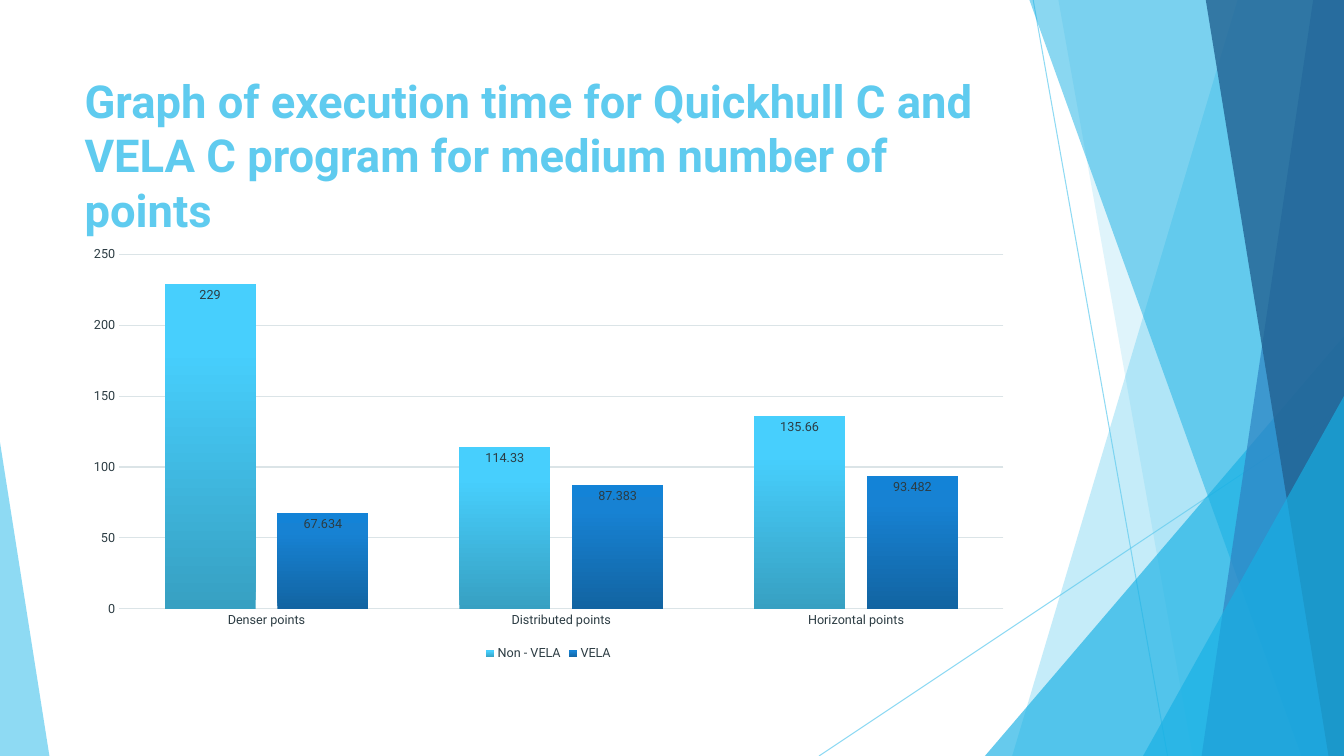
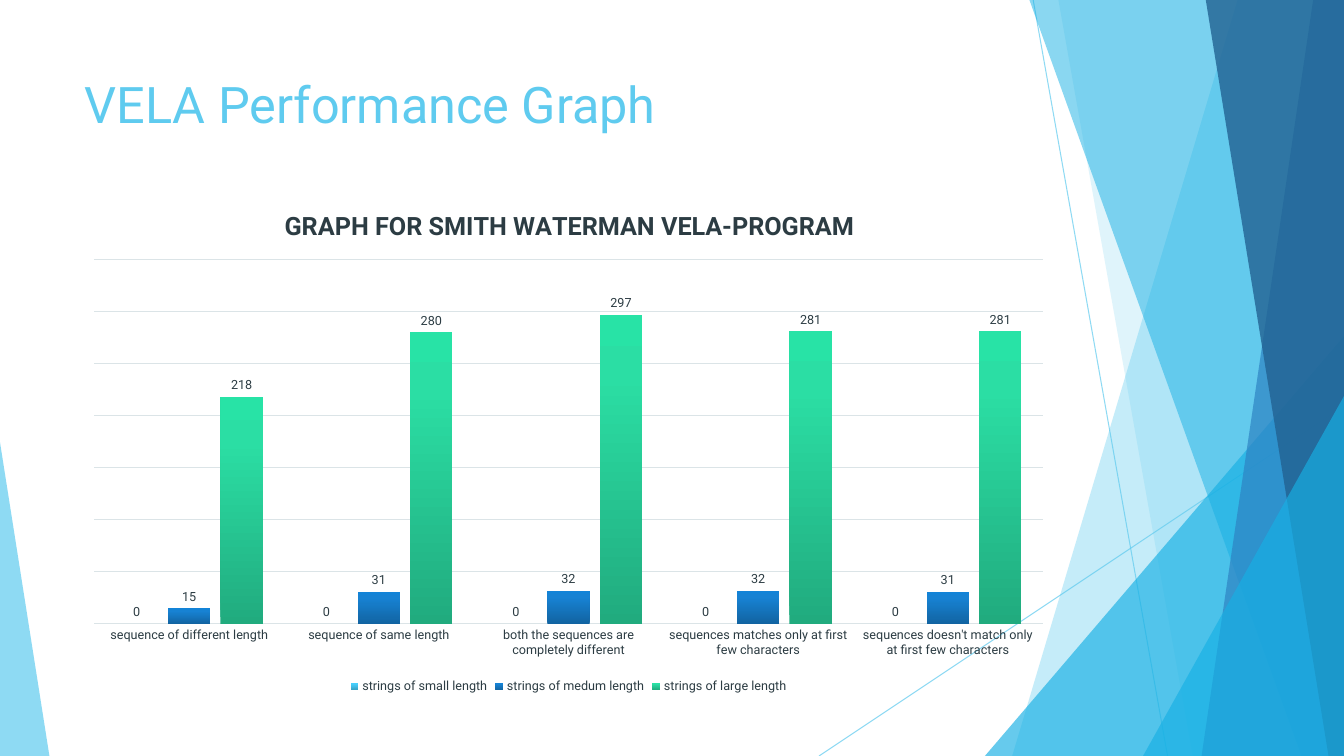
from lxml import etree
from pptx import Presentation
from pptx.chart.data import CategoryChartData
from pptx.dml.color import RGBColor
from pptx.enum.chart import (XL_CHART_TYPE, XL_LABEL_POSITION, XL_LEGEND_POSITION,
                             XL_TICK_LABEL_POSITION, XL_TICK_MARK)
from pptx.enum.shapes import MSO_CONNECTOR, MSO_SHAPE
from pptx.enum.text import MSO_ANCHOR
from pptx.oxml.ns import qn
from pptx.util import Pt

COLUMNS = XL_CHART_TYPE.COLUMN_CLUSTERED
INSIDE_END = XL_LABEL_POSITION.INSIDE_END
OUTSIDE_END = XL_LABEL_POSITION.OUTSIDE_END
LEGEND_BOTTOM = XL_LEGEND_POSITION.BOTTOM
NO_LABELS = XL_TICK_LABEL_POSITION.NONE
NO_TICKS = XL_TICK_MARK.NONE
STRAIGHT = MSO_CONNECTOR.STRAIGHT
TRIANGLE = MSO_SHAPE.ISOSCELES_TRIANGLE
TOP = MSO_ANCHOR.TOP

FONT = "Roboto"
WIDTH, HEIGHT = 960, 540
LEFT = 53.3
COLORS = {"sky": "5FCBEF", "cyan": "17B0E4", "blue": "2E83C3", "navy": "226292",
          "text": "2C3C43", "grid": "DBE4E7"}
# Column gradients from bottom to top, one per series
STOPS = (0, 80, 100)
GRADIENTS = (("37A0C2", "47CFFD", "46D1FF"),
             ("1264A2", "1782D3", "1383D7"),
             ("21AB7E", "2BDEA4", "28E3A6"))


def rgb(name):
    return RGBColor.from_string(COLORS[name])


def style_font(font, size, color="text", bold=False):
    font.name, font.size, font.bold = FONT, Pt(size), bold
    font.color.rgb = rgb(color)


def write_text(frame, text, **style):
    span = frame.paragraphs[0].add_run()
    span.text = text
    style_font(span.font, **style)


def set_alpha(shape, percent):
    color = shape.element.spPr.find(".//" + qn("a:srgbClr"))
    etree.SubElement(color, qn("a:alpha"), val=str(percent * 1000))


def fill_gradient(gradient, colors):
    """Replace the default gradient with upward stops."""
    for child in list(gradient):
        gradient.remove(child)
    stops = etree.SubElement(gradient, qn("a:gsLst"))
    for position, color in zip(STOPS, colors):
        stop = etree.SubElement(stops, qn("a:gs"), pos=str(position * 1000))
        etree.SubElement(stop, qn("a:srgbClr"), val=color)
    etree.SubElement(gradient, qn("a:lin"), ang=str(270 * 60000), scaled="0")


def place(chart, part, settings, **percents):
    """Give a chart part a manual layout, in percent of the chart."""
    parent = next(chart.element.iter(qn(part)))
    layout = parent.find(qn("c:layout"))
    if layout is None:
        layout = etree.Element(qn("c:layout"))
        parent.insert(0, layout)
    manual = etree.SubElement(layout, qn("c:manualLayout"))
    for tag, value in settings.items():
        etree.SubElement(manual, qn("c:" + tag), val=value)
    for tag, value in percents.items():
        etree.SubElement(manual, qn("c:" + tag), val=str(value / 100))


class Slides:
    def __init__(self):
        self.deck = Presentation()
        self.deck.slide_width, self.deck.slide_height = Pt(WIDTH), Pt(HEIGHT)
        self.page = None

    def line(self, *ends):
        line = self.page.shapes.add_connector(STRAIGHT, *map(Pt, ends))
        line.line.color.rgb = rgb("sky")
        line.line.width = Pt(0.75)
        set_alpha(line, 70)
        etree.SubElement(line.element.spPr, qn("a:effectLst"))

    def paint(self, shape, color, alpha):
        shape.shadow.inherit = False
        shape.fill.solid()
        shape.fill.fore_color.rgb = rgb(color)
        shape.line.fill.background()
        set_alpha(shape, alpha)

    def strip(self, top_x, bottom_x, color, alpha):
        """Band from a slanted left side to the right edge of the page."""
        outline = self.page.shapes.build_freeform(Pt(top_x), 0)
        corners = ((WIDTH, 0), (WIDTH, HEIGHT), (bottom_x, HEIGHT))
        outline.add_line_segments([(Pt(x), Pt(y)) for x, y in corners])
        self.paint(outline.convert_to_shape(), color, alpha)

    def triangle(self, left, top, width, color, alpha, peak=1):
        shape = self.page.shapes.add_shape(
            TRIANGLE, Pt(left), Pt(top), Pt(width), Pt(HEIGHT - top))
        shape.adjustments[0] = peak
        self.paint(shape, color, alpha)

    def start(self, title, size=36, bold=False):
        self.page = self.deck.slides.add_slide(self.deck.slide_layouts[6])
        # Facets
        self.line(738, 0, 834, HEIGHT)
        self.line(WIDTH, 290, 585, HEIGHT)
        self.strip(884, 723, "sky", 36)
        self.strip(756, 852, "sky", 20)
        self.triangle(703.5, 240, 256.5, "cyan", 66)
        self.strip(735.3, 929.5, "cyan", 50)
        self.strip(938, 858.3, "blue", 70)
        self.strip(861.3, 949, "navy", 80)
        self.triangle(816.5, 283, 143.5, "cyan", 66)
        self.triangle(0, 316, 35.3, "sky", 70, peak=0)
        # Title
        box = self.page.shapes.add_textbox(Pt(LEFT), Pt(48.6), Pt(677), Pt(104))
        box.text_frame.word_wrap = True
        box.text_frame.vertical_anchor = TOP
        write_text(box.text_frame, title, size=size, color="sky", bold=bold)

    def chart(self, top, width, height, categories, rows, maximum, plot_area,
              label_position, title=None, value_labels=True):
        data = CategoryChartData()
        data.categories = categories
        for name, values in rows:
            data.add_series(name, values)
        chart = self.page.shapes.add_chart(
            COLUMNS, Pt(LEFT), Pt(top), Pt(width), Pt(height), data).chart
        style_font(chart.font, 9)
        # Title and plot area
        edges = {"xMode": "edge", "yMode": "edge"}
        chart.has_title = title is not None
        if title:
            write_text(chart.chart_title.text_frame, title, size=18, bold=True)
            place(chart, "c:title", edges, x=20.8, y=3)
        x, y, w, h = plot_area
        place(chart, "c:plotArea", {"layoutTarget": "inner", **edges},
              x=x, y=y, w=w, h=h)
        # Legend
        chart.has_legend = True
        chart.legend.position = LEGEND_BOTTOM
        chart.legend.include_in_layout = False
        style_font(chart.legend.font, 9)
        # Axes
        for axis in (chart.category_axis, chart.value_axis):
            axis.major_tick_mark = axis.minor_tick_mark = NO_TICKS
            style_font(axis.tick_labels.font, 9)
        scale = chart.value_axis
        scale.minimum_scale, scale.maximum_scale, scale.major_unit = 0, maximum, 50
        scale.format.line.fill.background()
        if not value_labels:
            scale.tick_label_position = NO_LABELS
        for line in (chart.category_axis.format.line, scale.major_gridlines.format.line):
            line.color.rgb = rgb("grid")
            line.width = Pt(0.75)
        # Columns
        plot = chart.plots[0]
        plot.gap_width, plot.overlap, plot.vary_by_categories = 100, -24, False
        for series in plot.series:
            series.invert_if_negative = False
            series.format.fill.gradient()
            labels = series.data_labels
            labels.show_value = True
            labels.position = label_position
            style_font(labels.font, 9)
        for gradient, colors in zip(chart.element.iter(qn("a:gradFill")), GRADIENTS):
            fill_gradient(gradient, colors)


def main():
    slides = Slides()

    # Quickhull
    slides.start("Graph of execution time for Quickhull C and VELA C program "
                 "for medium number of points", size=32.4, bold=True)
    slides.chart(170, 677, 305,
                 ("Denser points", "Distributed points", "Horizontal points"),
                 (("Non - VELA", (229, 114.33, 135.66)),
                  ("VELA", (67.634, 87.383, 93.482))),
                 maximum=250, plot_area=(4.7, 3.8, 93.3, 83.1),
                 label_position=INSIDE_END)

    # Smith Waterman
    slides.start("VELA Performance Graph")
    slides.chart(135.4, 705.6, 363,
                 ("sequence of different length", "sequence of same length",
                  "both the sequences are completely different",
                  "sequences matches only at first few characters",
                  "sequences doesn't match only at first few characters"),
                 (("strings of small length", (0, 0, 0, 0, 0)),
                  ("strings of medum length", (15, 31, 32, 32, 31)),
                  ("strings of large length", (218, 280, 297, 281, 281))),
                 maximum=350, plot_area=(2, 13.8, 96, 71.7),
                 label_position=OUTSIDE_END, value_labels=False,
                 title="GRAPH FOR SMITH WATERMAN VELA-PROGRAM")

    slides.deck.save("out.pptx")


if __name__ == "__main__":
    main()
